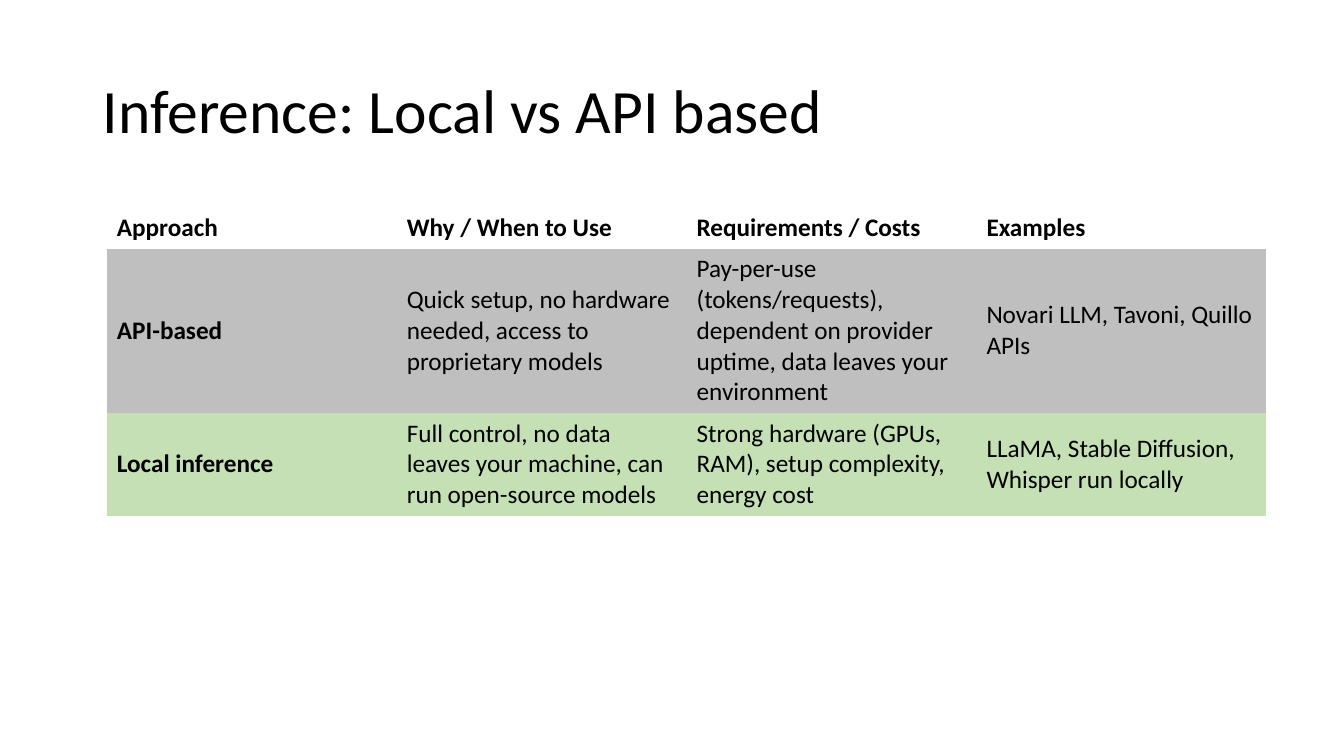
from pptx import Presentation
from pptx.dml.color import RGBColor
from pptx.enum.text import MSO_ANCHOR as Anchor, PP_ALIGN as Align
from pptx.oxml.ns import qn
from pptx.util import Inches, Pt

BLACK = RGBColor(0x00, 0x00, 0x00)
GREY = RGBColor(0xBF, 0xBF, 0xBF)
GREEN = RGBColor(0xC5, 0xE0, 0xB4)
NO_STYLE = "{2D5ABB26-0587-4C30-8999-92F81FD0307C}"

# Each row: height, fill, cell texts
ROWS = [
    (0.4, None, ["Approach", "Why / When to Use", "Requirements / Costs", "Examples"]),
    (1.63, GREY, [
        "API-based",
        "Quick setup, no hardware needed, access to proprietary models",
        "Pay-per-use (tokens/requests), dependent on provider uptime, "
        "data leaves your environment",
        "Novari LLM, Tavoni, Quillo APIs",
    ]),
    (1.02, GREEN, [
        "Local inference",
        "Full control, no data leaves your machine, can run open-source models",
        "Strong hardware (GPUs, RAM), setup complexity, energy cost",
        "LLaMA, Stable Diffusion, Whisper run locally",
    ]),
]


class SlideBuilder:
    def __init__(self, prs, font="Calibri", color=BLACK):
        self.s = prs.slides.add_slide(prs.slide_layouts[5])
        self.font, self.color = font, color

    def add_text(self, tf, text, size, bold=False):
        p = tf.paragraphs[0]
        p.alignment = Align.LEFT
        r = p.add_run()
        r.text = text
        style = {"name": self.font, "size": Pt(size), "bold": bold}
        for key, value in style.items():
            setattr(r.font, key, value)
        r.font.color.rgb = self.color
        return p

    def title(self, text, left, top, width, height):
        sp = self.s.shapes.title
        box = {"left": left, "top": top, "width": width, "height": height}
        for key, value in box.items():
            setattr(sp, key, Inches(value))
        sp.text_frame.vertical_anchor = Anchor.MIDDLE
        sp.text_frame.word_wrap = True
        self.add_text(sp.text_frame, text, 44).line_spacing = 0.9

    def table(self, rows, left, top, width):
        height = sum(row[0] for row in rows)
        frame = self.s.shapes.add_table(
            len(rows), len(rows[0][2]),
            Inches(left), Inches(top), Inches(width), Inches(height))
        tbl = frame.table
        tbl.horz_banding = False
        tbl._tbl.tblPr.find(qn("a:tableStyleId")).text = NO_STYLE
        for i, (row_height, fill, texts) in enumerate(rows):
            tbl.rows[i].height = Inches(row_height)
            for j, text in enumerate(texts):
                cell = tbl.cell(i, j)
                cell.vertical_anchor = Anchor.MIDDLE
                if fill is None:
                    cell.fill.background()
                else:
                    cell.fill.solid()
                    cell.fill.fore_color.rgb = fill
                self.add_text(cell.text_frame, text, 18, bold=i == 0 or j == 0)


def main():
    prs = Presentation()
    prs.slide_width, prs.slide_height = Inches(13.33), Inches(7.5)
    slide = SlideBuilder(prs)

    # Heading
    slide.title("Inference: Local vs API based", 0.92, 0.4, 11.5, 1.45)

    # Comparison table
    slide.table(ROWS, 1.06, 2.06, 11.5)

    prs.save("out.pptx")


if __name__ == "__main__":
    main()
